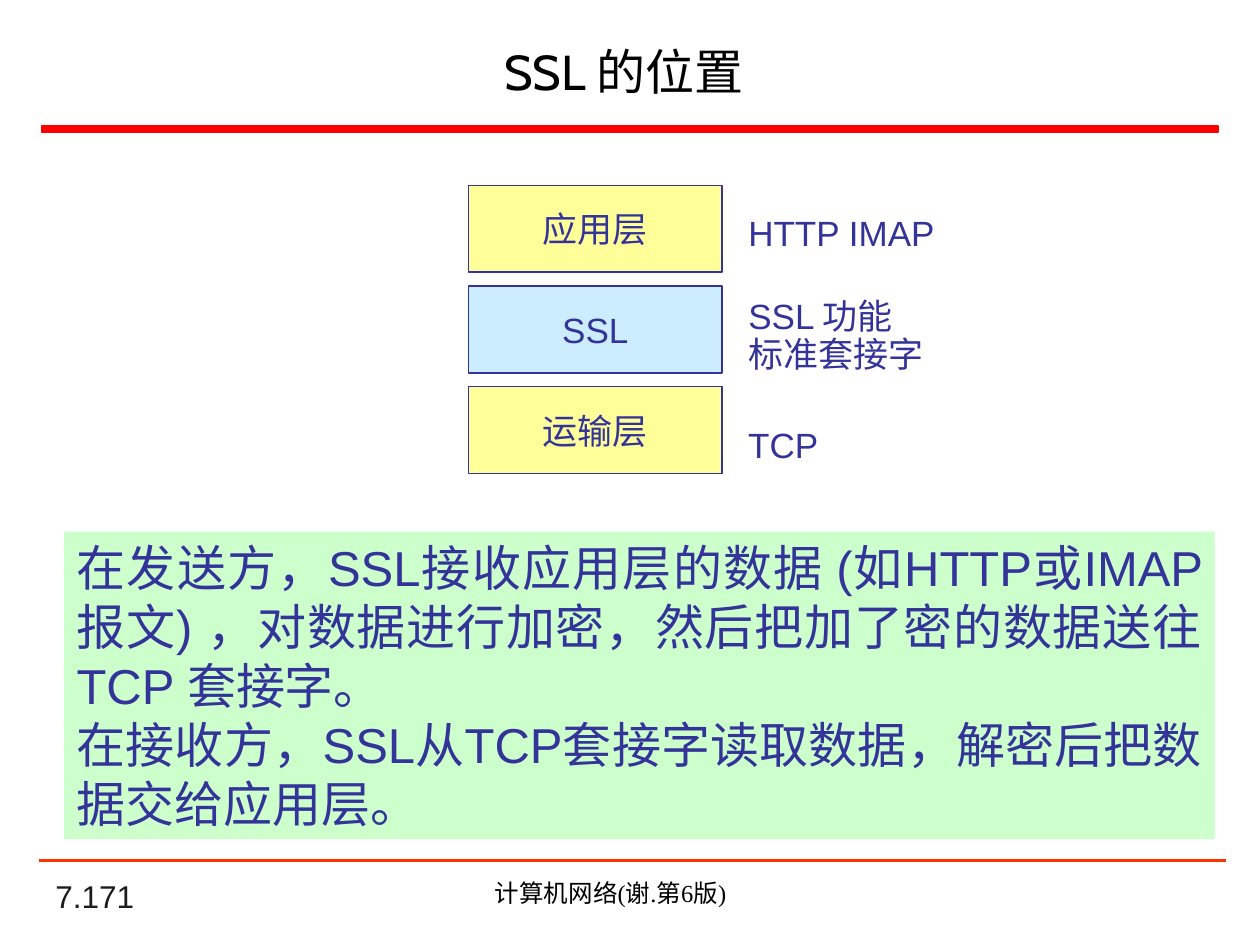
"""Build a slide that shows where SSL sits between the application and transport layers."""
from dataclasses import dataclass

from lxml import etree
from pptx import Presentation
from pptx import util as u
from pptx.dml.color import RGBColor
from pptx.enum import shapes, text
from pptx.oxml.ns import qn


@dataclass(frozen=True)
class Theme:
    """Colours, fonts and type sizes of the slide."""
    ink: str = "333399"
    black: str = "000000"
    number: str = "1C1C1C"
    red: str = "FF0000"
    orange: str = "FF3300"
    yellow: str = "FFFF99"
    blue: str = "CCECFF"
    green: str = "CCFFCC"
    body_font: str = "Arial"
    title_font: str = "Cabin"
    footer_font: str = "Times New Roman"
    large: int = 28
    medium: int = 20
    small: int = 18
    footer: int = 14


THEME = Theme()
LEFT, CENTER, JUSTIFY = (text.PP_ALIGN.LEFT, text.PP_ALIGN.CENTER, text.PP_ALIGN.JUSTIFY)
TOP, MIDDLE, BOTTOM = (text.MSO_ANCHOR.TOP, text.MSO_ANCHOR.MIDDLE, text.MSO_ANCHOR.BOTTOM)


def write(shape, content, size, font=THEME.body_font, color=THEME.ink,
          align=LEFT, anchor=TOP, wrap=True, spacing=None):
    """Fill a shape with text, one paragraph a line, and format it."""
    frame = shape.text_frame
    frame.text = content
    frame.word_wrap = wrap
    frame.vertical_anchor = anchor
    for paragraph in frame.paragraphs:
        paragraph.alignment = align
        paragraph.line_spacing = spacing
        for run in paragraph.runs:
            run.font.size = u.Pt(size)
            run.font.name = font
            run.font.color.rgb = RGBColor.from_string(color)


def add_text(slide, box, content, size, **style):
    """Add a text box at (left, top, width, height) in inches."""
    shape = slide.shapes.add_textbox(*map(u.Inches, box))
    write(shape, content, size, **style)
    return shape


def add_box(slide, box, fill, line=None, width=0.75):
    """Add a flat rectangle, with an outline if a line colour is given."""
    shape = slide.shapes.add_shape(shapes.MSO_SHAPE.RECTANGLE, *map(u.Inches, box))
    shape.shadow.inherit = False
    shape.fill.solid()
    shape.fill.fore_color.rgb = RGBColor.from_string(fill)
    if line:
        shape.line.color.rgb = RGBColor.from_string(line)
        shape.line.width = u.Pt(width)
    else:
        shape.line.fill.background()
    return shape


def add_rule(slide, left, right, top, color, width):
    """Add a horizontal line without a shadow."""
    rule = slide.shapes.add_connector(
        shapes.MSO_CONNECTOR.STRAIGHT, *map(u.Inches, (left, top, right, top)))
    rule.line.color.rgb = RGBColor.from_string(color)
    rule.line.width = u.Pt(width)
    etree.SubElement(rule._element.spPr, qn("a:effectLst"))


def add_frame(slide):
    """Add the title, the rules and the footer."""
    add_box(slide, (0.33, 1, 9.34, 0.05), THEME.red, THEME.red, 1)
    add_rule(slide, 0.31, 9.73, 6.83, THEME.orange, 1.5)
    add_text(slide, (0.34, 6.98, 2.08, 0.33), "7.171", THEME.small,
             color=THEME.number, anchor=BOTTOM)
    add_text(slide, (2.83, 6.92, 4.08, 0.34), "计算机网络(谢.第6版) ", THEME.footer,
             font=THEME.footer_font, color=THEME.black, align=CENTER)
    add_text(slide, (0.39, 0.22, 9.21, 0.69), "SSL 的位置 ", THEME.large,
             font=THEME.title_font, color=THEME.black, align=CENTER, anchor=MIDDLE)


def add_layers(slide):
    """Stack the three protocol layers with their labels on the right."""
    layers = [
        ("应用层", THEME.yellow, "HTTP IMAP", (1.63, 1.69, 0.44), None),
        ("SSL", THEME.blue, "SSL 功能\n标准套接字", (2.33, 1.59, 0.7), 0.9),
        ("运输层", THEME.yellow, "TCP", (3.31, 0.76, 0.43), None),
    ]
    for index, (name, fill, label, (top, width, height), spacing) in enumerate(layers):
        layer = add_box(slide, (3.72, 1.47 + 0.8 * index, 2.01, 0.69), fill, THEME.ink)
        write(layer, name, THEME.medium, align=CENTER, anchor=MIDDLE, wrap=False)
        add_text(slide, (5.84, top, width, height), label, THEME.medium,
                 wrap=False, spacing=spacing)


def add_explanation(slide):
    """Add the green panel on sending and receiving."""
    panel = add_box(slide, (0.51, 4.22, 9.13, 2.44), THEME.green)
    write(panel,
          "在发送方，SSL接收应用层的数据 (如HTTP或IMAP 报文) ，"
          "对数据进行加密，然后把加了密的数据送往 TCP 套接字。\n"
          "在接收方，SSL从TCP套接字读取数据，解密后把数据交给应用层。",
          THEME.large, align=JUSTIFY)


def main():
    """Build and save the slide."""
    presentation = Presentation()
    presentation.slide_width = u.Inches(10)
    presentation.slide_height = u.Inches(7.5)
    slide = presentation.slides.add_slide(presentation.slide_layouts[6])
    add_frame(slide)
    add_layers(slide)
    add_explanation(slide)
    presentation.save("out.pptx")


if __name__ == "__main__":
    main()
